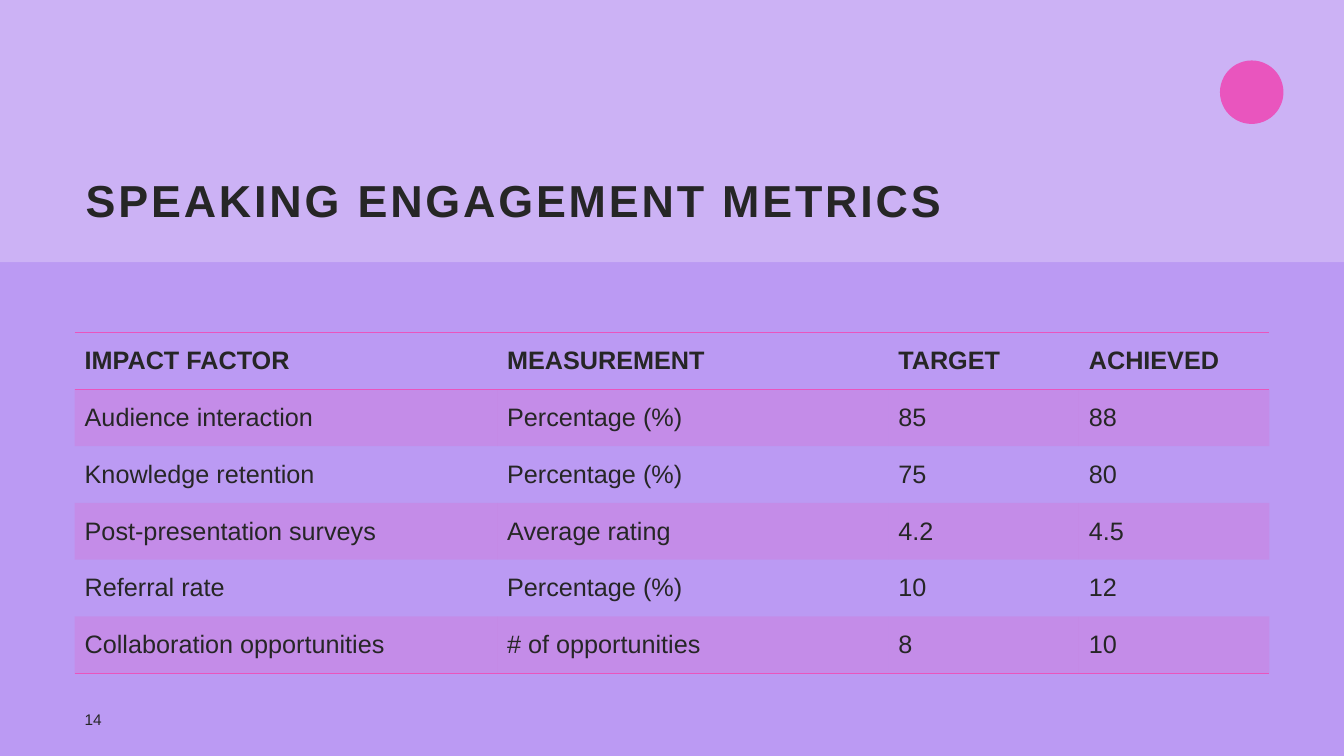
"""Build the speaking engagement metrics slide."""
from lxml import etree
from pptx import Presentation
from pptx.dml.color import RGBColor
from pptx.enum import shapes, text
from pptx.oxml import ns
from pptx.util import Inches, Pt

TITLE = "SPEAKING ENGAGEMENT METRICS"
PAGE = "14"
ROWS = [
    ("IMPACT FACTOR", "MEASUREMENT", "TARGET", "ACHIEVED"),
    ("Audience interaction", "Percentage (%)", "85", "88"),
    ("Knowledge retention", "Percentage (%)", "75", "80"),
    ("Post-presentation surveys", "Average rating", "4.2", "4.5"),
    ("Referral rate", "Percentage (%)", "10", "12"),
    ("Collaboration opportunities", "# of opportunities", "8", "10"),
]
COLS = (4.19, 3.88, 1.89, 1.89)
LEFT, TOP, HIGH = 0.74, 3.3, 3.38
INK, PINK, LILAC, PALE = "262626", "E955BE", "BB9AF3", "D2BBF7"
FONT = "Arial"
PLAIN = "{2D5ABB26-0587-4C30-8999-92F81FD0307C}"


def paint(fill, color, alpha=100):
    fill.solid()
    fill.fore_color.rgb = RGBColor.from_string(color)
    if alpha < 100:
        tint = fill._xPr.find(".//" + ns.qn("a:srgbClr"))
        etree.SubElement(tint, ns.qn("a:alpha"), val=str(alpha * 1000))


def write(frame, words, size, bold=False):
    run = frame.paragraphs[0].add_run()
    run.text = words
    font = run.font
    font.name, font.size, font.bold = FONT, Pt(size), bold
    paint(font.fill, INK)
    return run


def block(slide, kind, box, color, alpha=100):
    shape = slide.shapes.add_shape(kind, *map(Inches, box))
    shape.shadow.inherit = False
    shape.line.fill.background()
    paint(shape.fill, color, alpha)
    return shape


def rule(cell, sides):
    props = cell._tc.get_or_add_tcPr()
    for spot, side in enumerate(sides):
        line = etree.Element(ns.qn("a:ln" + side), w=str(Pt(1)))
        fill = etree.SubElement(line, ns.qn("a:solidFill"))
        etree.SubElement(fill, ns.qn("a:srgbClr"), val=PINK)
        props.insert(spot, line)


def add_head(slide):
    title = slide.shapes.title
    title.left, title.top, title.width, title.height = map(Inches, (0.75, 0.7, 11, 1.6))
    frame = title.text_frame
    frame.auto_size = text.MSO_AUTO_SIZE.NONE
    frame.word_wrap = True
    frame.vertical_anchor = text.MSO_ANCHOR.BOTTOM
    line = frame.paragraphs[0]
    line.alignment, line.line_spacing = text.PP_ALIGN.LEFT, 0.9
    run = write(frame, TITLE, 32, True)
    run._r.get_or_add_rPr().set("spc", "200")
    band = block(slide, shapes.MSO_SHAPE.RECTANGLE, (0, 0, 13.33, 2.6), PALE, 75)
    dot = block(slide, shapes.MSO_SHAPE.OVAL, (12.1, 0.6, 0.63, 0.63), PINK)
    for shape in (band, dot):
        title.element.addprevious(shape.element)


def add_grid(slide):
    box = map(Inches, (LEFT, TOP, sum(COLS), HIGH))
    holder = slide.shapes.add_table(len(ROWS), len(COLS), *box)
    holder.element.find(".//" + ns.qn("a:tableStyleId")).text = PLAIN
    grid = holder.table
    grid.horz_banding = False
    for col, width in zip(grid.columns, COLS):
        col.width = Inches(width)
    last = len(ROWS) - 1
    for r, row in enumerate(ROWS):
        grid.rows[r].height = Inches(HIGH / len(ROWS))
        for c, words in enumerate(row):
            cell = grid.cell(r, c)
            cell.vertical_anchor = text.MSO_ANCHOR.MIDDLE
            write(cell.text_frame, words, 18, r == 0)
            if r % 2:
                paint(cell.fill, PINK, 20)
            else:
                cell.fill.background()
            rule(cell, "TB" if r == 0 else "B" if r == last else "")


def add_page(slide):
    frame = slide.shapes.add_textbox(*map(Inches, (LEFT, 7.01, 0.83, 0.25))).text_frame
    frame.word_wrap = True
    frame.vertical_anchor = text.MSO_ANCHOR.MIDDLE
    write(frame, PAGE, 11)


def main():
    deck = Presentation()
    deck.slide_width, deck.slide_height = Inches(13.33), Inches(7.5)
    slide = deck.slides.add_slide(deck.slide_layouts[5])
    paint(slide.background.fill, LILAC)
    add_head(slide)
    add_grid(slide)
    add_page(slide)
    deck.save("out.pptx")


if __name__ == "__main__":
    main()
